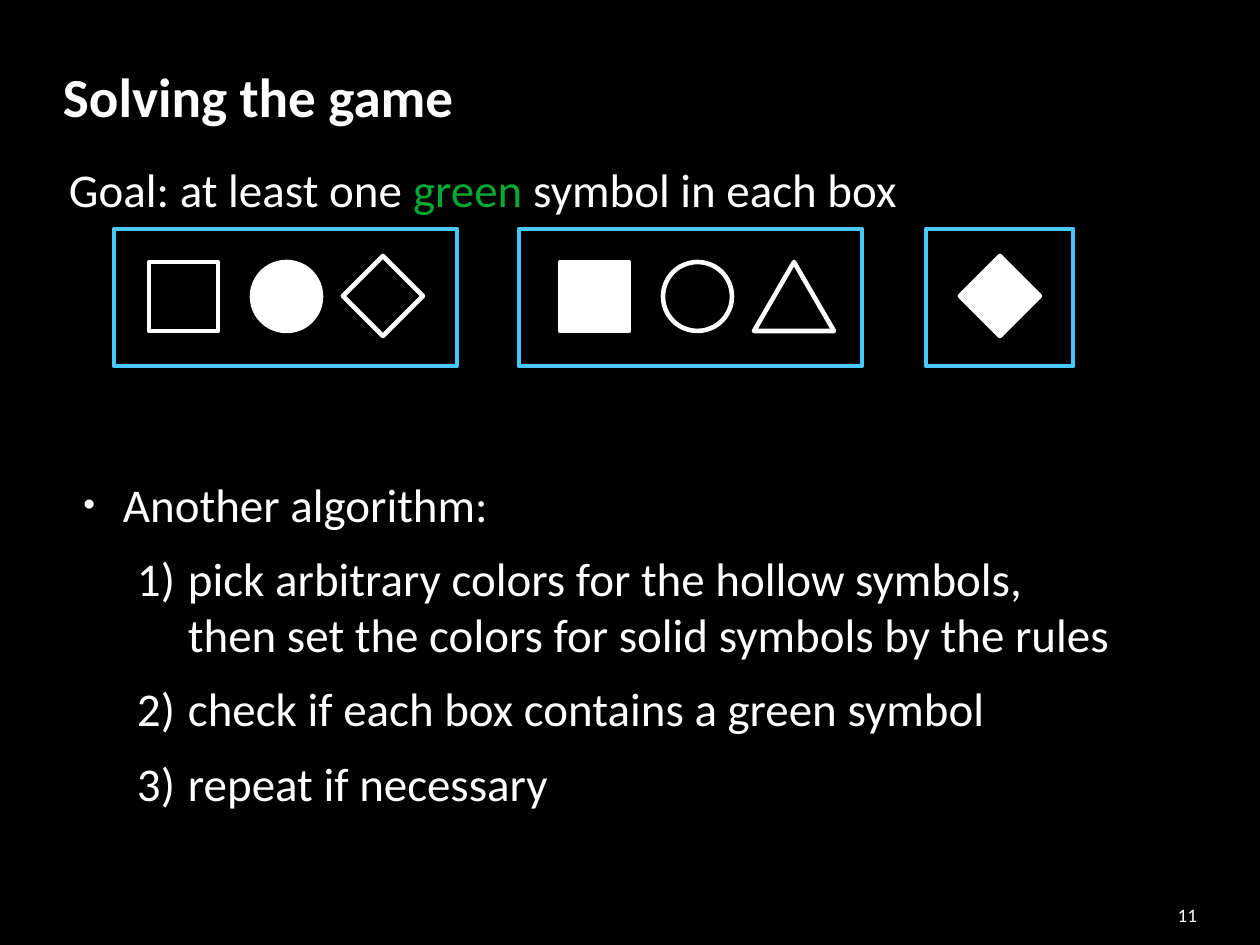
import pptx
import pptx.util
import pptx.dml.color
import pptx.enum.shapes
import pptx.enum.text
from lxml import etree

PX = 8000  # EMU per px
BLACK = pptx.dml.color.RGBColor(0x00, 0x00, 0x00)
WHITE = pptx.dml.color.RGBColor(0xFF, 0xFF, 0xFF)
BLUE = pptx.dml.color.RGBColor(0x48, 0xC8, 0xFF)
GREEN = pptx.dml.color.RGBColor(0x00, 0xA9, 0x33)
FONT = "Calibri"
BODY_SIZE = 29.6
DRAWING_NS = "http://schemas.openxmlformats.org/drawingml/2006/main"

KINDS = pptx.enum.shapes.MSO_SHAPE
SQUARE = (KINDS.RECTANGLE, 69, 69)
CIRCLE = (KINDS.OVAL, 69, 69)
DIAMOND = (KINDS.DIAMOND, 80, 80)
TRIANGLE = (KINDS.ISOSCELES_TRIANGLE, 80, 69)

BOX_TOP, BOX_HEIGHT = 229, 137
SYMBOL_MIDDLE = 296
# box left, box width, symbols as (centre, kind, fill)
BOXES = [
    (114, 343, [(183, SQUARE, BLACK), (286, CIRCLE, WHITE), (383, DIAMOND, BLACK)]),
    (519, 343, [(594, SQUARE, WHITE), (697, CIRCLE, BLACK), (794, TRIANGLE, BLACK)]),
    (926, 147, [(1000, DIAMOND, WHITE)]),
]
STEPS = [
    ["pick arbitrary colors for the hollow symbols,",
     "then set the colors for solid symbols by the rules"],
    ["check if each box contains a green symbol"],
    ["repeat if necessary"],
]


def px(*lengths):
    return [pptx.util.Emu(length * PX) for length in lengths]


def add_run(paragraph, text, size=BODY_SIZE, color=WHITE, bold=False):
    run = paragraph.add_run()
    run.text = text
    run.font.name = FONT
    run.font.size = pptx.util.Pt(size)
    run.font.bold = bold
    run.font.color.rgb = color


def prepare_frame(shape, bounds, anchor):
    """Place a text shape and return its frame without margins or autofit."""
    shape.left, shape.top, shape.width, shape.height = px(*bounds)
    frame = shape.text_frame
    frame.margin_left = frame.margin_top = frame.margin_right = frame.margin_bottom = 0
    frame.word_wrap = True
    frame.auto_size = pptx.enum.text.MSO_AUTO_SIZE.NONE
    frame.vertical_anchor = anchor
    return frame


def set_marker(paragraph, margin, hang, tag, **attributes):
    """Set the hanging indent and the bullet or number of a paragraph."""
    properties = paragraph._p.get_or_add_pPr()
    properties.set("marL", str(margin * PX))
    properties.set("indent", str(-hang * PX))
    if tag == "buChar":
        size = etree.SubElement(properties, f"{{{DRAWING_NS}}}buSzPct")
        size.set("val", "45000")
    etree.SubElement(properties, f"{{{DRAWING_NS}}}{tag}", attributes)


def set_spacing(paragraph, before):
    paragraph.space_before = pptx.util.Pt(before)
    paragraph.space_after = pptx.util.Pt(0)
    paragraph.line_spacing = 1.0


def add_outlined_shape(slide, kind, bounds, fill, line):
    shape = slide.shapes.add_shape(kind, *px(*bounds))
    shape.shadow.inherit = False
    shape.fill.solid()
    shape.fill.fore_color.rgb = fill
    shape.line.color.rgb = line
    shape.line.width = pptx.util.Pt(2.89)
    etree.SubElement(shape.line._get_or_add_ln(), f"{{{DRAWING_NS}}}round")


def add_boxes(slide):
    for left, width, symbols in BOXES:
        add_outlined_shape(slide, KINDS.RECTANGLE,
                           (left, BOX_TOP, width, BOX_HEIGHT), BLACK, BLUE)
        for centre, (kind, symbol_width, symbol_height), fill in symbols:
            bounds = (centre - symbol_width // 2, SYMBOL_MIDDLE - symbol_height // 2,
                      symbol_width, symbol_height)
            add_outlined_shape(slide, kind, bounds, fill, WHITE)


def fill_title(slide):
    frame = prepare_frame(slide.shapes.title, (63, 38, 1134, 114),
                          pptx.enum.text.MSO_ANCHOR.MIDDLE)
    paragraph = frame.paragraphs[0]
    paragraph.alignment = pptx.enum.text.PP_ALIGN.LEFT
    add_run(paragraph, "Solving the game", 34.7, bold=True)


def fill_body(slide):
    frame = prepare_frame(slide.placeholders[1], (69, 160, 1134, 697),
                          pptx.enum.text.MSO_ANCHOR.TOP)
    goal = frame.paragraphs[0]
    set_marker(goal, 0, 0, "buNone")
    set_spacing(goal, 0)
    add_run(goal, "Goal: at least one ")
    add_run(goal, "green", color=GREEN)
    add_run(goal, " symbol in each box")

    heading = frame.add_paragraph()
    set_marker(heading, 54, 40, "buChar", char="●")
    set_spacing(heading, 163)  # leaves room for the boxes
    add_run(heading, "Another algorithm:")

    for lines in STEPS:
        step = frame.add_paragraph()
        step.level = 1
        set_marker(step, 119, 51, "buAutoNum", type="arabicParenR")
        set_spacing(step, 11.2)
        for index, line in enumerate(lines):
            if index:
                step.add_line_break()
            add_run(step, line)


def add_slide_number(slide):
    bounds = (903, 861, 294, 65)
    frame = prepare_frame(slide.shapes.add_textbox(*px(*bounds)), bounds,
                          pptx.enum.text.MSO_ANCHOR.BOTTOM)
    paragraph = frame.paragraphs[0]
    paragraph.alignment = pptx.enum.text.PP_ALIGN.RIGHT
    add_run(paragraph, "11", 12)


def main():
    presentation = pptx.Presentation()
    presentation.slide_width, presentation.slide_height = px(1260, 945)
    slide = presentation.slides.add_slide(presentation.slide_layouts[1])
    slide.background.fill.solid()
    slide.background.fill.fore_color.rgb = BLACK
    fill_title(slide)
    fill_body(slide)
    add_boxes(slide)
    add_slide_number(slide)
    presentation.save("out.pptx")


if __name__ == "__main__":
    main()
